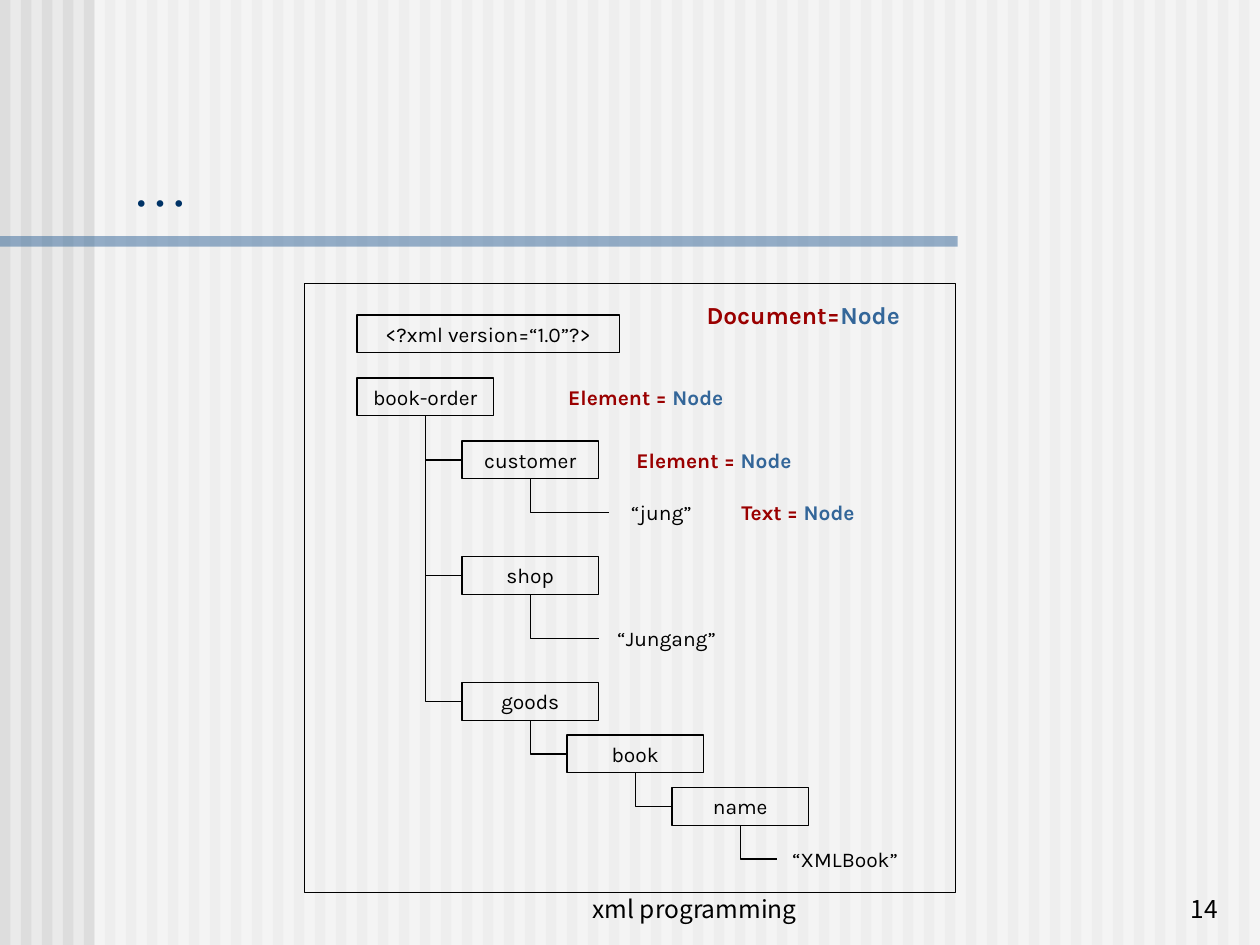
import pptx
import pptx.util
import pptx.dml.color
import pptx.enum.shapes
import pptx.enum.text
import pptx.oxml.ns
import lxml.etree

Pt = pptx.util.Pt
qn = pptx.oxml.ns.qn
ALIGN = pptx.enum.text.PP_ALIGN
ANCHOR = pptx.enum.text.MSO_ANCHOR
RECT = pptx.enum.shapes.MSO_SHAPE.RECTANGLE
ELBOW = pptx.enum.shapes.MSO_CONNECTOR.ELBOW

BLACK, RED, BLUE, NAVY = "000000", "9A0000", "336699", "003366"
LABEL = {"name": "Karla", "size": Pt(12)}
STRONG = {**LABEL, "bold": True}
HEAD = {**STRONG, "size": Pt(14)}
FOOT = {"name": "Noto Sans CJK KR", "size": Pt(14)}
TITLE = {"name": "Times New Roman", "size": Pt(32)}
HIGH = 21.6

# name: (left, top, width, parent, text, boxed), relative to the frame
NODES = {
    "prolog": (30, 18, 150, None, "<?xml version=“1.0”?>", True),
    "order": (30, 54, 78, None, "book-order", True),
    "customer": (90, 90, 78, "order", "customer", True),
    "shop": (90, 156, 78, "order", "shop", True),
    "goods": (90, 228, 78, "order", "goods", True),
    "book": (150, 258, 78, "goods", "book", True),
    "name": (210, 288, 78, "book", "name", True),
    "buyer": (174, 120, 60, "customer", "“jung”", False),
    "store": (168, 192, 78, "shop", "“Jungang”", False),
    "title": (270, 318, 78, "name", "“XMLBook”", False),
}
# (left, top, width, height, kind, format), relative to the frame
NOTES = [
    (210, 6, 150, 24.5, "Document=", HEAD),
    (120, 54, 150, HIGH, "Element = ", STRONG),
    (174, 90, 120, HIGH, "Element = ", STRONG),
    (228, 120, 108, HIGH, "Text = ", STRONG),
]


def color(code):
    return pptx.dml.color.RGBColor.from_string(code)


def write(frame, runs, style, align=ALIGN.CENTER, anchor=ANCHOR.TOP):
    """Fill a text frame with one paragraph of (text, colour) runs."""
    frame.word_wrap = True
    frame.vertical_anchor = anchor
    para = frame.paragraphs[0]
    para.alignment = align
    for text, code in runs:
        run = para.add_run()
        run.text = text
        for key, value in style.items():
            setattr(run.font, key, value)
        run.font.color.rgb = color(code)


def add_text(slide, box, *args, **more):
    shape = slide.shapes.add_textbox(*map(Pt, box))
    write(shape.text_frame, *args, **more)


def add_rect(slide, box, fill=None, alpha=None):
    """Draw a filled bar, or an outlined box when no fill is given."""
    shape = slide.shapes.add_shape(RECT, *map(Pt, box))
    shape.shadow.inherit = False
    if fill:
        shape.fill.solid()
        shape.fill.fore_color.rgb = color(fill)
        shape.line.fill.background()
    else:
        shape.fill.background()
        shape.line.color.rgb = color(BLACK)
        shape.line.width = Pt(0.75)
    if alpha:
        tint = next(shape.element.spPr.iter(qn("a:srgbClr")))
        lxml.etree.SubElement(tint, qn("a:alpha"), val=str(alpha * 1000))
    return shape


def add_link(slide, x1, y1, x2, y2):
    """Join a parent's foot to a child's left side with a single bend."""
    link = slide.shapes.add_connector(ELBOW, *map(Pt, (x1, y1, x2, y2)))
    link.line.color.rgb = color(BLACK)
    link.line.width = Pt(0.75)
    props = link.element.spPr
    props.find(qn("a:prstGeom")).set("prst", "bentConnector2")
    props.find(qn("a:xfrm")).set("rot", "10800000")
    lxml.etree.SubElement(props, qn("a:effectLst"))


def add_back(slide, wide, high):
    slide.background.fill.solid()
    slide.background.fill.fore_color.rgb = color("EAEAEA")
    for left in range(0, wide, 12):
        add_rect(slide, (left, 0, 6, high), "DDDDDD")
    add_rect(slide, (54, 0, wide - 54, high), "FFFFFF", 50)
    add_rect(slide, (0, 135, 547.2, 6), BLUE, 50)


def add_tree(slide, left, top, wide, high):
    add_rect(slide, (left, top, wide, high))
    for x, y, w, parent, text, boxed in NODES.values():
        box = (left + x, top + y, w, HIGH)
        runs = [(text, BLACK)]
        if boxed:
            write(add_rect(slide, box).text_frame, runs, LABEL)
        else:
            add_text(slide, box, runs, LABEL)
        if parent:
            px, py, pw = NODES[parent][:3]
            add_link(slide, left + px + pw / 2, top + py + HIGH,
                     left + x, top + y + HIGH / 2)
    for x, y, w, h, kind, style in NOTES:
        add_text(slide, (left + x, top + y, w, h),
                 [(kind, RED), ("Node", BLUE)], style)


def add_foot(slide, top, high):
    add_text(slide, (283, top, 228, high), [("xml programming", BLACK)],
             FOOT, anchor=ANCHOR.BOTTOM)
    add_text(slide, (553, top, 150, high), [("14", BLACK)],
             FOOT, ALIGN.RIGHT, ANCHOR.BOTTOM)


def main():
    deck = pptx.Presentation()
    deck.slide_width, deck.slide_height = Pt(720), Pt(540)
    slide = deck.slides.add_slide(deck.slide_layouts[6])
    add_back(slide, 720, 540)
    add_foot(slide, 495, 36)
    add_text(slide, (68.4, 15, 643, 113), [("…", NAVY)],
             TITLE, ALIGN.LEFT, ANCHOR.BOTTOM)
    add_tree(slide, 174, 162, 372, 348)
    deck.save("out.pptx")


if __name__ == "__main__":
    main()
